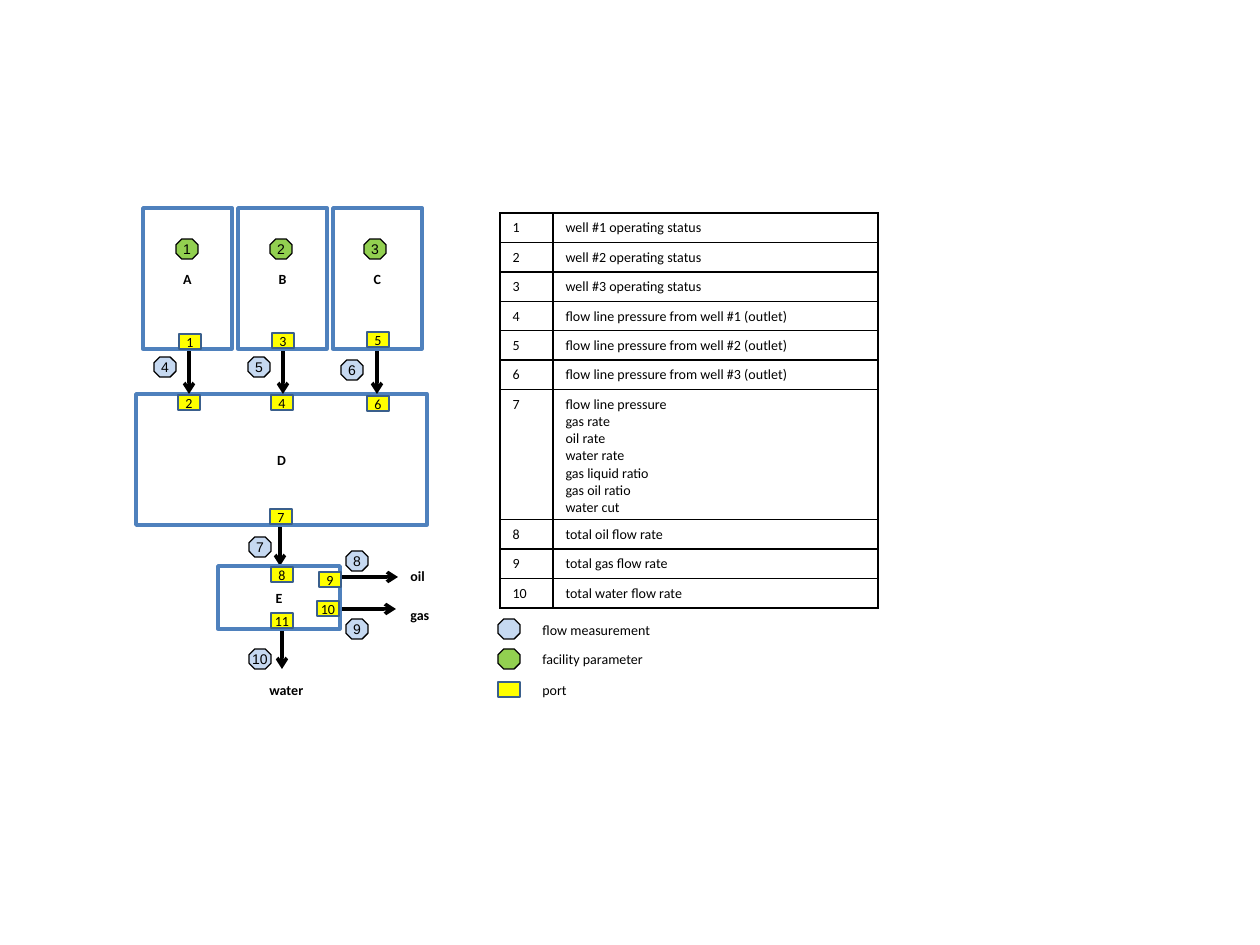
from pptx import Presentation
from pptx.dml.color import RGBColor
from pptx.enum.shapes import MSO_CONNECTOR as CONN, MSO_SHAPE as SHAPE
from pptx.enum.text import MSO_ANCHOR as ANCHOR, MSO_AUTO_SIZE as FIT, PP_ALIGN as ALIGN
from pptx.oxml import parse_xml
from pptx.oxml.ns import nsdecls
from pptx.util import Pt

SCALE = 914400 / 126
BLACK, WHITE, BLUE, NAVY = "000000", "FFFFFF", "4F81BD", "3A5F8C"
FLOW, FACILITY, PORT = "C6D9F1", "92D050", "FFFF00"


def px(*lengths):
    """Turn pixels into a list of EMU."""
    return [round(n * SCALE) for n in lengths]


def rgb(color):
    """Turn a hex string into a colour."""
    return RGBColor.from_string(color)


def write(p, text, font="Calibri", bold=False):
    """Add one run of 8 point text to a paragraph."""
    r = p.add_run()
    r.text = text
    r.font.name, r.font.size, r.font.bold = font, Pt(8), bold
    r.font.color.rgb = rgb(BLACK)


def add_box(s, box, fill, line, width, text="", kind=SHAPE.RECTANGLE,
            font="Calibri", bold=False, wrap=False):
    """Add a filled shape with centred text."""
    sp = s.shapes.add_shape(kind, *px(*box))
    sp.shadow.inherit = False
    sp.fill.solid()
    sp.fill.fore_color.rgb = rgb(fill)
    sp.line.color.rgb = rgb(line)
    sp.line.width = Pt(width)
    if text:
        tf = sp.text_frame
        tf.word_wrap, tf.vertical_anchor = wrap, ANCHOR.MIDDLE
        tf.paragraphs[0].alignment = ALIGN.CENTER
        write(tf.paragraphs[0], text, font, bold)
    return sp


def add_unit(s, box, name):
    """Add a white process unit with its letter."""
    add_box(s, box, WHITE, BLUE, 2, name, bold=True, wrap=True)


def add_badge(s, x, y, fill, text=""):
    """Add an octagon for a measurement or parameter."""
    sp = add_box(s, (x, y, 22, 20), fill, BLACK, 0.75, text, SHAPE.OCTAGON, "Arial")
    sp.adjustments[0] = 0.29


def add_port(s, x, y, text=""):
    """Add a yellow port."""
    add_box(s, (x, y, 22, 15), PORT, NAVY, 1, text)


def add_arrow(s, x1, y1, x2, y2):
    """Add a black arrow."""
    c = s.shapes.add_connector(CONN.STRAIGHT, *px(x1, y1, x2, y2))
    c.line.color.rgb = rgb(BLACK)
    c.line.width = Pt(2)
    c.line._get_or_add_ln().append(parse_xml(f'<a:tailEnd {nsdecls("a")} type="arrow"/>'))
    c._element.spPr.append(parse_xml(f'<a:effectLst {nsdecls("a")}/>'))


def add_label(s, x, y, w, text, bold=False):
    """Add a one-line label."""
    tf = s.shapes.add_textbox(*px(x, y, w, 30)).text_frame
    tf.word_wrap, tf.auto_size = False, FIT.SHAPE_TO_FIT_TEXT
    write(tf.paragraphs[0], text, bold=bold)


def fill_cell(cell, lines):
    """Write lines into a bordered cell without fill."""
    tc_pr = cell._tc.get_or_add_tcPr()
    for side in "LRTB":
        tc_pr.append(parse_xml(
            f'<a:ln{side} {nsdecls("a")} w="12700"><a:solidFill>'
            f'<a:srgbClr val="{BLACK}"/></a:solidFill></a:ln{side}>'))
    cell.fill.background()
    tf = cell.text_frame
    for i, line in enumerate(lines):
        write(tf.add_paragraph() if i else tf.paragraphs[0], line)


def add_key_table(s, rows):
    """Add the numbered table of measurements."""
    table = s.shapes.add_table(len(rows), 2, *px(500, 213, 378, 394)).table
    table.first_row = table.horz_banding = False
    for column, width in zip(table.columns, px(53, 325)):
        column.width = width
    for i, lines in enumerate(rows):
        table.rows[i].height = px(29 if len(lines) == 1 else 130)[0]
        fill_cell(table.cell(i, 0), [str(i + 1)])
        fill_cell(table.cell(i, 1), lines)


def main():
    """Build the slide."""
    prs = Presentation()
    prs.slide_width, prs.slide_height = px(1260, 945)
    s = prs.slides.add_slide(prs.slide_layouts[6])

    for ends in ((280, 525, 280, 566), (282, 629, 282, 669),
                 (338, 577, 398, 577), (338, 609, 396, 609)):
        add_arrow(s, *ends)
    add_unit(s, (136, 394, 291, 131), "D")
    add_unit(s, (218, 566, 122, 63), "E")
    for i, name in enumerate("ABC"):
        x = 189 + 94 * i
        add_arrow(s, x, 350, x, 394)
        add_unit(s, (143 + 95 * i, 208, 89, 141), name)
        add_badge(s, 176 + 94 * i, 239, FACILITY, str(i + 1))

    for n, (x, y) in enumerate(((154, 357), (248, 357), (341, 360), (249, 537),
                                (346, 551), (346, 619), (249, 649)), 4):
        add_badge(s, x, y, FLOW, str(n))
    for n, (x, y) in enumerate(((179, 334), (178, 395), (272, 333), (271, 395),
                                (367, 332), (367, 396), (270, 509), (271, 567),
                                (319, 572), (317, 601), (271, 613)), 1):
        add_port(s, x, y, str(n))
    for x, y, w, text in ((257, 675, 60, "water"), (398, 600, 45, "gas"),
                          (398, 561, 43, "oil ")):
        add_label(s, x, y, w, text, True)

    add_key_table(s, [
        *([f"well #{n} operating status"] for n in (1, 2, 3)),
        *([f"flow line pressure from well #{n} (outlet)"] for n in (1, 2, 3)),
        ["flow line pressure", "gas rate", "oil rate", "water rate",
         "gas liquid ratio", "gas oil ratio", "water cut"],
        *([f"total {fluid} flow rate"] for fluid in ("oil", "gas", "water")),
    ])
    add_badge(s, 498, 619, FLOW)
    add_badge(s, 498, 649, FACILITY)
    add_port(s, 498, 682)
    for y, w, text in ((615, 135, "flow measurement"),
                       (644, 127, "facility parameter"), (675, 50, "port")):
        add_label(s, 530, y, w, text)
    prs.save("out.pptx")


main()
